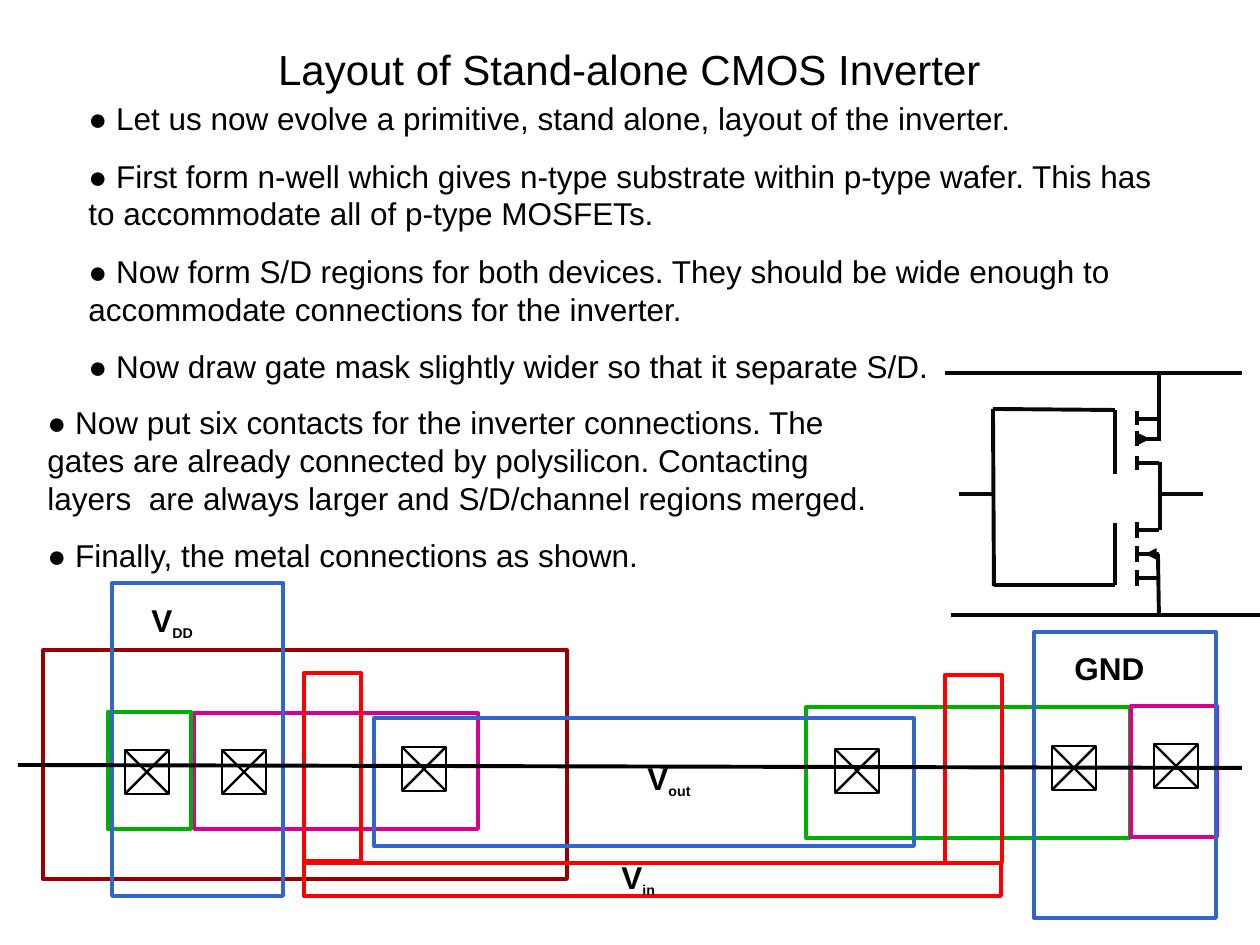
from lxml import etree
from pptx import Presentation, util as u
from pptx.dml.color import RGBColor
from pptx.enum import shapes, text
from pptx.oxml.ns import qn

EMU_PER_PX = 914400 / 126
COLORS = {
    "black": "000000", "white": "FFFFFF", "wire": "080808",
    "well": "990000", "p_region": "D60093", "n_region": "00B000",
    "gate": "FF0000", "metal": "3366CC",
}


def px(length):
    return u.Emu(round(length * EMU_PER_PX))


def color(name):
    return RGBColor.from_string(COLORS[name])


def add_run(paragraph, words, size=18, bold=False, baseline=None):
    run = paragraph.add_run()
    run.text = words
    font = run.font
    font.name, font.size, font.bold = "Arial", u.Pt(size), bold
    font.color.rgb = color("black")
    if baseline:
        font._element.set("baseline", str(baseline * 1000))


class Drawing:
    def __init__(self, slide, thick=2.25, thin=1.39):
        self.slide = slide
        self.thick, self.thin = thick, thin

    def text_box(self, box, paragraphs, before=11.2, align=text.PP_ALIGN.LEFT, **style):
        """Each paragraph is a string, or a (word, subscript) pair."""
        frame = self.slide.shapes.add_textbox(*map(px, box)).text_frame
        frame.word_wrap = True
        for index, content in enumerate(paragraphs):
            paragraph = frame.add_paragraph() if index else frame.paragraphs[0]
            paragraph.space_before = u.Pt(before)
            paragraph.alignment = align
            if isinstance(content, tuple):
                word, subscript = content
                add_run(paragraph, word, **style)
                add_run(paragraph, subscript, **{**style, "size": 14, "baseline": -25})
            else:
                add_run(paragraph, content, **style)

    def rectangle(self, box, line, fill=None, width=None):
        shape = self.slide.shapes.add_shape(shapes.MSO_SHAPE.RECTANGLE, *map(px, box))
        shape.shadow.inherit = False
        if fill:
            shape.fill.solid()
            shape.fill.fore_color.rgb = color(fill)
        else:
            shape.fill.background()
        shape.line.color.rgb = color(line)
        shape.line.width = u.Pt(width or self.thick)

    def line(self, ends, name="wire", width=None, arrow=False):
        connector = self.slide.shapes.add_connector(
            shapes.MSO_CONNECTOR.STRAIGHT, *map(px, ends))
        connector.line.color.rgb = color(name)
        connector.line.width = u.Pt(width or self.thick)
        properties = connector._element.spPr
        if arrow:
            etree.SubElement(properties.find(qn("a:ln")), qn("a:tailEnd"), type="triangle")
        etree.SubElement(properties, qn("a:effectLst"))

    def contact(self, left, top, side=44):
        right, bottom = left + side, top + side
        self.rectangle((left, top, side, side), "black", "white", self.thin)
        self.line((left, top, right, bottom), "black", self.thin)
        self.line((left, bottom, right, top), "black", self.thin)


BULLETS = [
    "● Let us now evolve a primitive, stand alone, layout of the inverter.",
    "● First form n-well which gives n-type substrate within p-type wafer. "
    "This has to accommodate all of p-type MOSFETs.",
    "● Now form S/D regions for both devices. They should be wide enough to "
    "accommodate connections for the inverter.",
    "● Now draw gate mask slightly wider so that it separate S/D.",
]
LOWER_BULLETS = [
    "● Now put six contacts for the inverter connections. The gates are already "
    "connected by polysilicon. Contacting layers  are always larger and "
    "S/D/channel regions merged.",
    "● Finally, the metal connections as shown.",
]
REGIONS = [
    ("well", (43, 650, 524, 229)),
    ("p_region", (194, 713, 284, 116)),
    ("n_region", (806, 707, 324, 131)),
    ("gate", (304, 673, 57, 188)),
    ("gate", (945, 675, 57, 188)),
    ("gate", (304, 863, 697, 33)),
    ("n_region", (108, 712, 83, 117)),
    ("p_region", (1131, 706, 86, 131)),
]
CONTACTS = [(125, 750), (222, 750), (402, 747), (835, 749), (1052, 746), (1154, 744)]
METALS = [(112, 583, 171, 313), (374, 718, 540, 128), (1034, 632, 182, 286)]
LABELS = [
    ((139, 595, 96, 53), ("V", "DD")),
    ((635, 753, 83, 53), ("V", "out")),
    ((1062, 643, 101, 50), "GND"),
    ((609, 852, 83, 53), ("V", "in")),
]
RAILS = [(945, 373, 1242, 373), (951, 615, 1260, 615)]
INPUT_WIRES = [
    (1115, 410, 1115, 474), (1115, 523, 1115, 585),
    (1115, 410, 993, 409), (993, 409, 994, 586), (1115, 585, 994, 585),
    (993, 494, 959, 494),
]
OUTPUT_WIRES = [
    (1160, 462, 1160, 530), (1158, 494, 1203, 494),
    (1159, 373, 1159, 441), (1158, 554, 1159, 617),
]
CHANNELS = [(411, 425), (431, 446), (456, 470), (522, 538), (546, 562), (570, 586)]
CHANNEL_X, DRAIN_X = 1137, 1159
BODY_ARROWS = [(1137, 439, 1150, 439), (1157, 554, 1145, 554)]


def draw_schematic(drawing):
    for wire in RAILS + INPUT_WIRES + OUTPUT_WIRES:
        drawing.line(wire)
    for top, bottom in CHANNELS:
        drawing.line((CHANNEL_X, top, CHANNEL_X, bottom))
    for y in (419, 439, 463, 530, 554, 578):
        drawing.line((CHANNEL_X, y, DRAIN_X, y))
    for arrow in BODY_ARROWS:
        drawing.line(arrow, arrow=True)


def draw_layout(drawing):
    for name, box in REGIONS:
        drawing.rectangle(box, name)
    for corner in CONTACTS:
        drawing.contact(*corner)
    for box in METALS:
        drawing.rectangle(box, "metal")
    for box, label in LABELS:
        drawing.text_box(box, [label], before=8.8, bold=True)
    drawing.line((18, 765, 1242, 768), "black")


def main():
    presentation = Presentation()
    presentation.slide_width, presentation.slide_height = u.Inches(10), u.Inches(7.5)
    drawing = Drawing(presentation.slides.add_slide(presentation.slide_layouts[6]))
    drawing.text_box((45, 37, 1169, 63), ["Layout of Stand-alone CMOS Inverter"],
                     before=15, align=text.PP_ALIGN.CENTER, size=24)
    drawing.text_box((76, 93, 1099, 299), BULLETS)
    drawing.text_box((35, 397, 868, 184), LOWER_BULLETS)
    draw_schematic(drawing)
    draw_layout(drawing)
    presentation.save("out.pptx")


if __name__ == "__main__":
    main()
